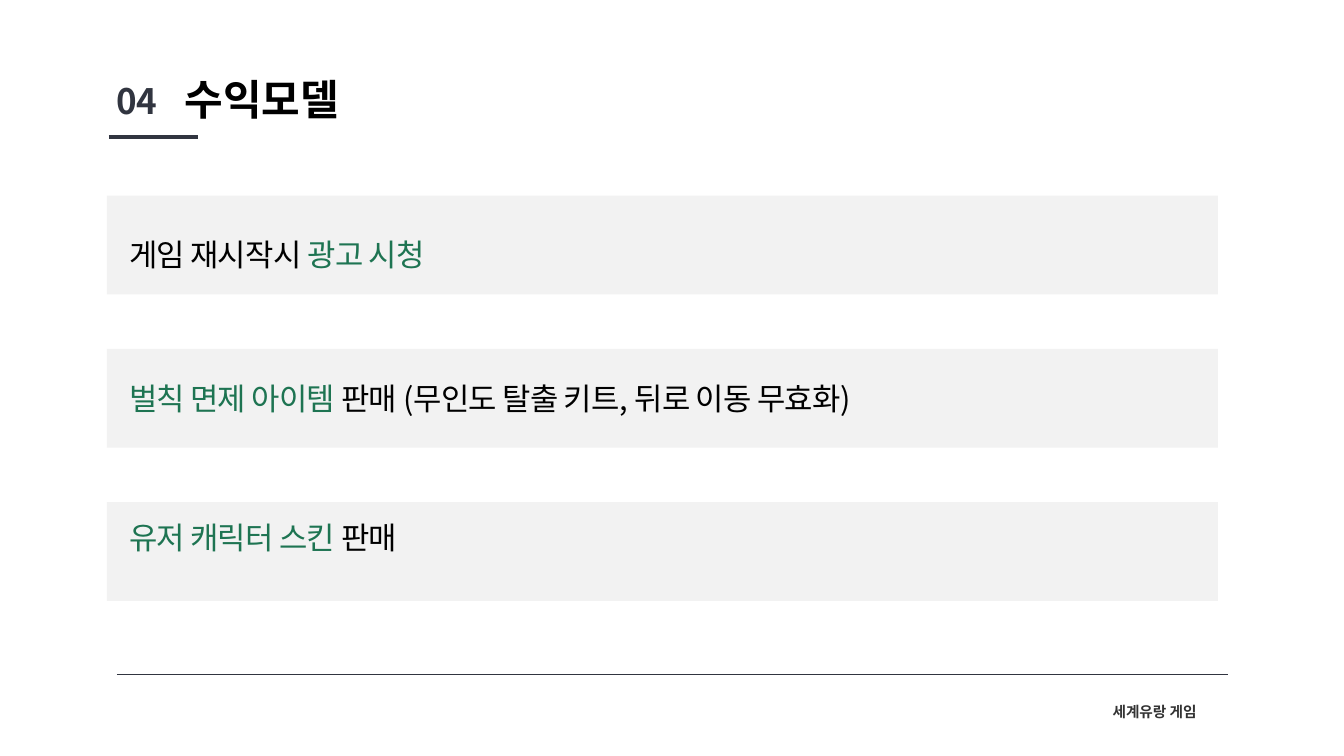
from dataclasses import dataclass

from lxml.etree import SubElement
from pptx import Presentation
from pptx.dml.color import RGBColor as Color
from pptx.enum.shapes import MSO_CONNECTOR as Connector, MSO_SHAPE as Preset
from pptx.enum.text import MSO_ANCHOR as Anchor, MSO_AUTO_SIZE as AutoSize, PP_ALIGN as Align
from pptx.oxml.ns import qn
from pptx.slide import Slide
from pptx.text.text import TextFrame, _Paragraph as Paragraph
from pptx.util import Pt


@dataclass(frozen=True)
class Theme:
    black: Color = Color(0x00, 0x00, 0x00)
    navy: Color = Color(0x31, 0x35, 0x40)
    green: Color = Color(0x1E, 0x74, 0x52)
    band: Color = Color(0xF2, 0xF2, 0xF2)
    charcoal: Color = Color(0x33, 0x33, 0x33)
    title_face: str = "Calibri"
    text_face: str = "Noto Sans CJK KR"
    title_size: float = 30
    number_size: float = 25
    item_size: float = 22
    footer_size: float = 10.5
    tracking: float = -0.5


@dataclass(frozen=True)
class Box:
    left: float
    top: float
    width: float
    height: float

    def lengths(self) -> tuple[Pt, Pt, Pt, Pt]:
        return Pt(self.left), Pt(self.top), Pt(self.width), Pt(self.height)


@dataclass(frozen=True)
class Rule:
    left: float
    right: float
    y: float
    weight: float


@dataclass(frozen=True)
class Phrase:
    text: str
    color: Color


@dataclass(frozen=True)
class RevenueItem:
    phrases: tuple[Phrase, ...]
    gap_above: float


THEME = Theme()
FIRST_BAND = Box(76.4, 139.7, 793.5, 70.6)
BAND_PITCH = 109.5
RULES = (Rule(77.8, 141.1, 97.9, 3.5), Rule(83.5, 877, 481.7, 1))
ITEMS = (
    RevenueItem((Phrase("게임 재시작시 ", THEME.black), Phrase("광고 시청", THEME.green)), 0),
    RevenueItem((Phrase("벌칙 면제 아이템 ", THEME.green),
                 Phrase("판매 (무인도 탈출 키트, 뒤로 이동 무효화)", THEME.black)), 72.4),
    RevenueItem((Phrase("유저 캐릭터 스킨 ", THEME.green), Phrase("판매", THEME.black)), 69.5),
)


def set_font(paragraph: Paragraph, face: str, size: float, color: Color,
             bold: bool = False, tracking: float = 0) -> None:
    font = paragraph.font
    font.name, font.size, font.bold = face, Pt(size), bold
    font.color.rgb = color
    defaults = paragraph._p.pPr.find(qn("a:defRPr"))
    defaults.set("spc", str(round(tracking * 100)))
    east_asian = SubElement(defaults, qn("a:ea"))
    east_asian.set("typeface", face)


def set_frame(frame: TextFrame, wrap: bool = True) -> None:
    frame.word_wrap = wrap
    frame.auto_size = AutoSize.NONE
    frame.vertical_anchor = Anchor.TOP


def add_rule(slide: Slide, rule: Rule) -> None:
    line = slide.shapes.add_connector(
        Connector.STRAIGHT, Pt(rule.left), Pt(rule.y), Pt(rule.right), Pt(rule.y))
    line.line.color.rgb = THEME.navy
    line.line.width = Pt(rule.weight)
    SubElement(line._element.spPr, qn("a:effectLst"))


def add_band(slide: Slide, box: Box) -> None:
    band = slide.shapes.add_shape(Preset.RECTANGLE, *box.lengths())
    band.shadow.inherit = False
    band.fill.solid()
    band.fill.fore_color.rgb = THEME.band
    band.line.fill.background()


def add_label(slide: Slide, text: str, box: Box, size: float, color: Color,
              spacing: float, tracking: float = 0) -> None:
    label = slide.shapes.add_textbox(*box.lengths()).text_frame
    set_frame(label, wrap=False)
    paragraph = label.paragraphs[0]
    paragraph.text = text
    paragraph.line_spacing = spacing
    set_font(paragraph, THEME.text_face, size, color, True, tracking)


def fill_title(slide: Slide, text: str, box: Box) -> None:
    title = slide.shapes.title
    title.left, title.top, title.width, title.height = box.lengths()
    set_frame(title.text_frame)
    paragraph = title.text_frame.paragraphs[0]
    paragraph.text = text
    paragraph.alignment = Align.LEFT
    set_font(paragraph, THEME.title_face, THEME.title_size, THEME.black, True)


def fill_items(slide: Slide, items: tuple[RevenueItem, ...], box: Box) -> None:
    body = slide.placeholders[1]
    body.left, body.top, body.width, body.height = box.lengths()
    frame = body.text_frame
    set_frame(frame)
    for index, item in enumerate(items):
        paragraph = frame.add_paragraph() if index else frame.paragraphs[0]
        paragraph.alignment = Align.LEFT
        paragraph.line_spacing = 1.14
        paragraph.space_before = Pt(item.gap_above)
        properties = paragraph._p.get_or_add_pPr()
        properties.set("marL", "0")
        properties.set("indent", "0")
        SubElement(properties, qn("a:buNone"))
        set_font(paragraph, THEME.text_face, THEME.item_size, THEME.black,
                 tracking=THEME.tracking)
        for phrase in item.phrases:
            run = paragraph.add_run()
            run.text = phrase.text
            run.font.color.rgb = phrase.color


def main() -> None:
    deck = Presentation()
    deck.slide_width, deck.slide_height = Pt(960), Pt(540)
    slide = deck.slides.add_slide(deck.slide_layouts[1])
    for index in range(len(ITEMS)):
        add_band(slide, Box(FIRST_BAND.left, FIRST_BAND.top + index * BAND_PITCH,
                            FIRST_BAND.width, FIRST_BAND.height))
    body = slide.placeholders[1]._element
    body.getparent().append(body)
    for rule in RULES:
        add_rule(slide, rule)
    add_label(slide, "04", Box(76.4, 49, 43.9, 41), THEME.number_size, THEME.navy,
              1.14, THEME.tracking)
    fill_title(slide, "수익모델", Box(124.6, 49, 243.4, 42.5))
    fill_items(slide, ITEMS, Box(85, 161.3, 608.4, 251.2))
    add_label(slide, "세계유랑 게임", Box(787.7, 496.1, 83.5, 22.3), THEME.footer_size,
              THEME.charcoal, 1.2)
    deck.save("out.pptx")


if __name__ == "__main__":
    main()
